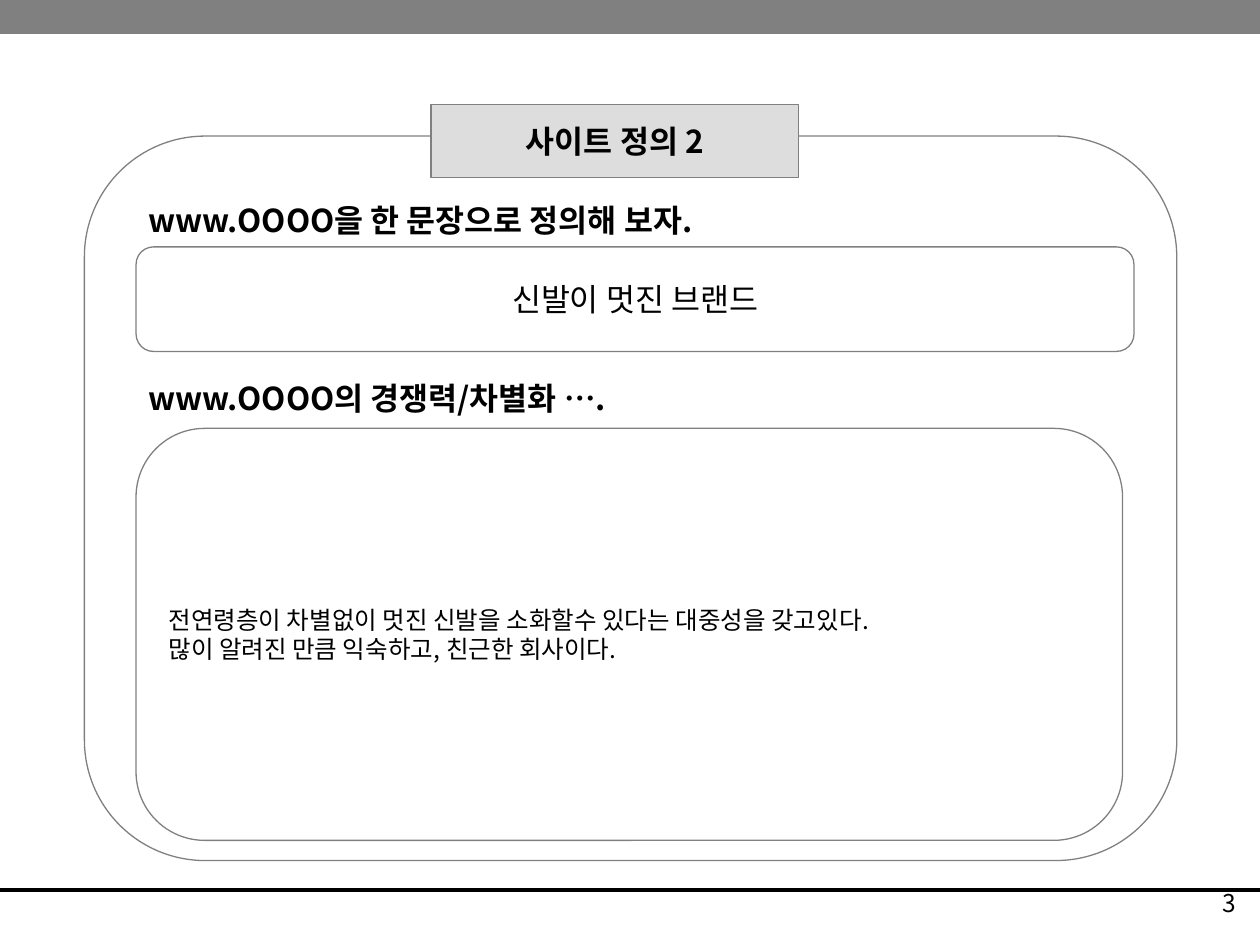
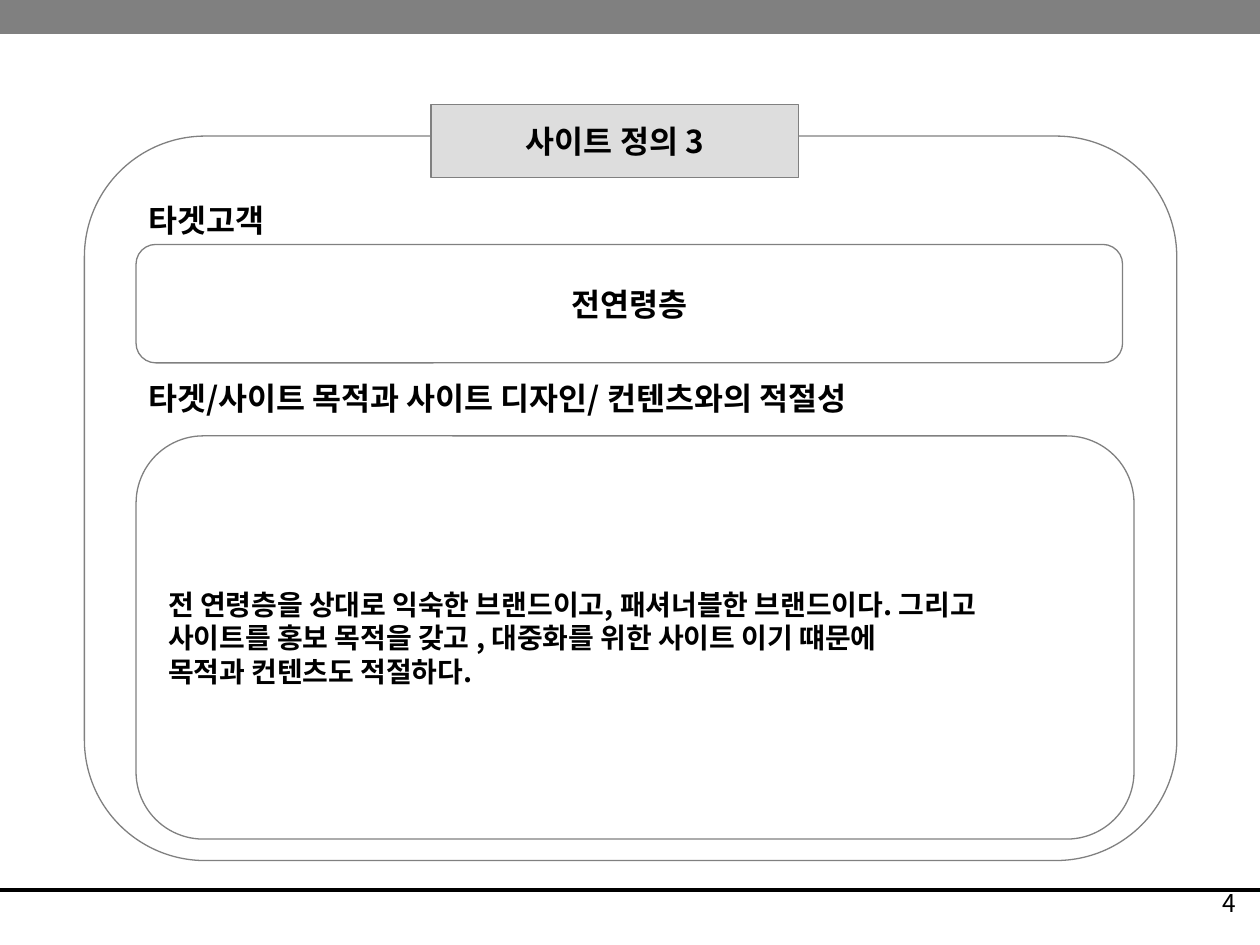
from lxml import etree
from pptx import Presentation
from pptx.dml.color import RGBColor
from pptx.enum.shapes import MSO_CONNECTOR, MSO_SHAPE as SHAPE
from pptx.enum.text import MSO_ANCHOR as ANCHOR, MSO_AUTO_SIZE as AUTO, PP_ALIGN as ALIGN
from pptx.oxml.ns import qn
from pptx.util import Inches, Pt

FONT, ELLIPSIS_FONT = "Noto Sans CJK KR", "Times New Roman"
BLACK, GREY, LIGHT = "000000", "808080", "DDDDDD"
FIRST_NUMBER = 3

# Each section: heading, heading width, box (left, top, width, height), lines, format
SLIDES = [
    ("사이트 정의 2", [
        ("www.OOOO을 한 문장으로 정의해 보자.", 5, (1.08, 1.96, 7.92, 0.83),
         ["신발이 멋진 브랜드"], dict(size=18, align=ALIGN.CENTER)),
        ("www.OOOO의 경쟁력/차별화 ….", 5, (1.08, 3.4, 7.83, 3.27),
         ["전연령층이 차별없이 멋진 신발을 소화할수 있다는 대중성을 갖고있다.",
          "많이 알려진 만큼 익숙하고, 친근한 회사이다."], dict(size=14)),
    ]),
    ("사이트 정의 3", [
        ("타겟고객", 5, (1.08, 1.94, 7.83, 0.94),
         ["전연령층"], dict(size=18, bold=True, align=ALIGN.CENTER)),
        ("타겟/사이트 목적과 사이트 디자인/ 컨텐츠와의 적절성", 6.99, (1.08, 3.46, 7.92, 3.2),
         ["전 연령층을 상대로 익숙한 브랜드이고, 패셔너블한 브랜드이다. 그리고",
          "사이트를 홍보 목적을 갖고 , 대중화를 위한 사이트 이기 떄문에",
          "목적과 컨텐츠도 적절하다."], dict(size=16, bold=True)),
    ]),
]
HEADING_TOPS = (1.55, 2.96)


def paint(fill, color):
    """Fill a shape, line or font with a hex colour, or with nothing."""
    if color is None:
        fill.background()
    else:
        fill.solid()
        fill.fore_color.rgb = RGBColor.from_string(color)


def write(shape, lines, size=18, bold=False, align=ALIGN.LEFT, before=0,
          anchor=ANCHOR.MIDDLE, wrap=False, auto=AUTO.NONE):
    """Set the text, one paragraph per line; an ellipsis gets its own font."""
    tf = shape.text_frame
    tf.word_wrap, tf.auto_size, tf.vertical_anchor = wrap, auto, anchor
    for i, line in enumerate(lines):
        p = tf.add_paragraph() if i else tf.paragraphs[0]
        p.alignment, p.space_before = align, Pt(before)
        for part in line.replace("…", "\n…\n").split("\n"):
            r = p.add_run()
            r.text = part
            r.font.size, r.font.bold = Pt(size), bold
            paint(r.font.fill, BLACK)
            r.font.name = ELLIPSIS_FONT if part == "…" else FONT
            etree.SubElement(r.font._element, qn("a:ea"), typeface=FONT)


prs = Presentation()
prs.slide_width, prs.slide_height = Inches(10), Inches(7.5)
prs.element.set("firstSlideNum", str(FIRST_NUMBER))
layout = prs.slide_layouts[5]

for number, (title_text, sections) in enumerate(SLIDES, FIRST_NUMBER):
    s = prs.slides.add_slide(layout)

    # The rule and the top band are drawn once and moved to the shared layout
    if number == FIRST_NUMBER:
        rule = s.shapes.add_connector(MSO_CONNECTOR.STRAIGHT, 0, Inches(7.06),
                                      Inches(10), Inches(7.06))
        rule.line.width = Pt(2.25)
        paint(rule.line.fill, BLACK)
        etree.SubElement(rule.element.spPr, qn("a:effectLst"))
        band = s.shapes.add_shape(SHAPE.RECTANGLE, 0, 0, Inches(10), Inches(0.27))
        band.shadow.inherit = False
        paint(band.fill, GREY)
        paint(band.line.fill, None)
        for shared in (rule, band):
            layout.shapes.element.append(shared.element)

    # Page number as a live field
    page = s.shapes.add_textbox(Inches(7.83), Inches(7), Inches(2.08), Inches(0.5))
    write(page, [str(number)], size=14, align=ALIGN.RIGHT, anchor=ANCHOR.TOP, wrap=True)
    field = page.text_frame.paragraphs[0].runs[0]._r
    field.tag = qn("a:fld")
    field.set("id", "{B6F15528-21DE-4FAA-801E-634DDDAF4B2B}")
    field.set("type", "slidenum")

    frame = s.shapes.add_shape(SHAPE.ROUNDED_RECTANGLE, Inches(0.67), Inches(1.08),
                               Inches(8.67), Inches(5.75))
    outlined = [frame]
    for top, (heading, width, place, lines, fmt) in zip(HEADING_TOPS, sections):
        tb = s.shapes.add_textbox(Inches(1.08), Inches(top), Inches(width), Inches(0.4))
        write(tb, [heading], bold=True, before=11.2, anchor=ANCHOR.TOP, wrap=True,
              auto=AUTO.SHAPE_TO_FIT_TEXT)
        box = s.shapes.add_shape(SHAPE.ROUNDED_RECTANGLE, *map(Inches, place))
        write(box, lines, **fmt)
        outlined.append(box)
    for shape in outlined:
        shape.shadow.inherit = False
        paint(shape.fill, None)

    # The title sits over the top edge of the frame, so it goes to the front
    title = s.shapes.title
    title.left, title.top = Inches(3.42), Inches(0.83)
    title.width, title.height = Inches(2.92), Inches(0.58)
    paint(title.fill, LIGHT)
    write(title, [title_text], bold=True, align=ALIGN.CENTER)
    s.shapes.element.append(title.element)
    for shape in outlined + [title]:
        shape.line.width = Pt(0.75)
        paint(shape.line.fill, GREY)

prs.save("out.pptx")
